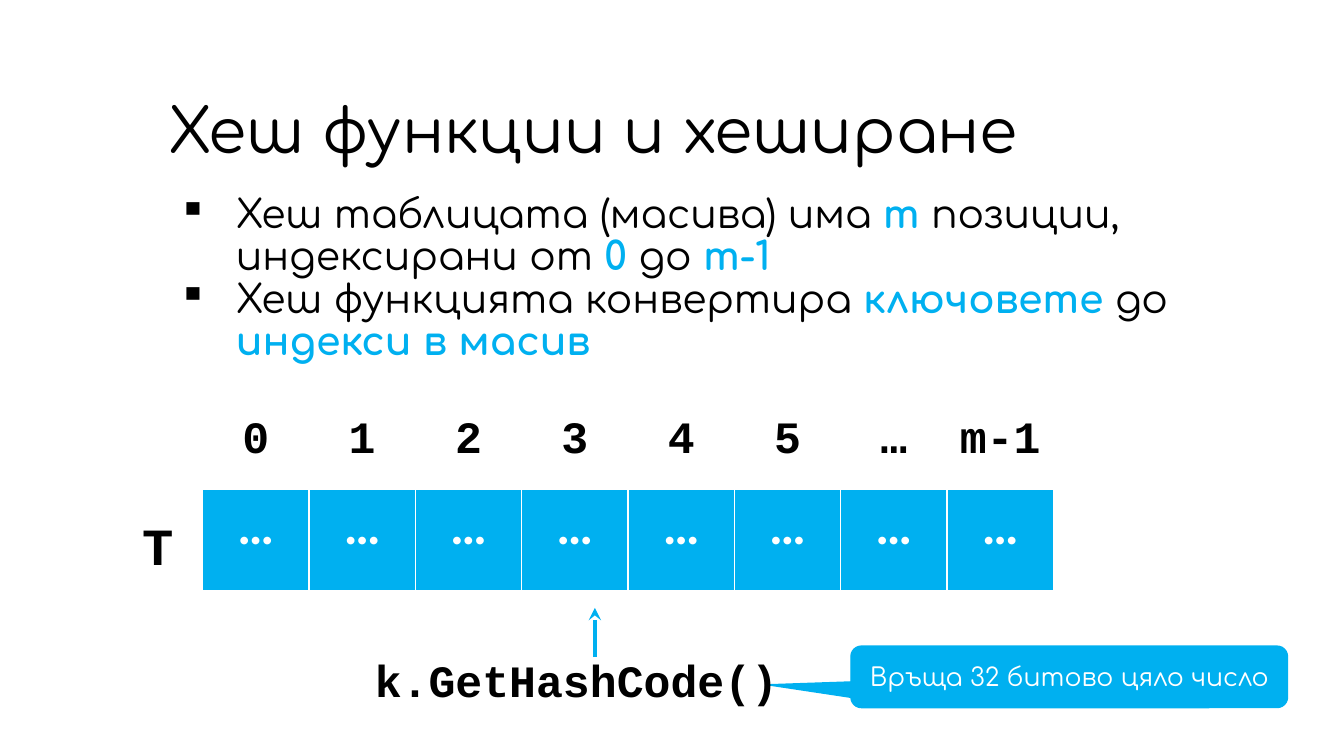
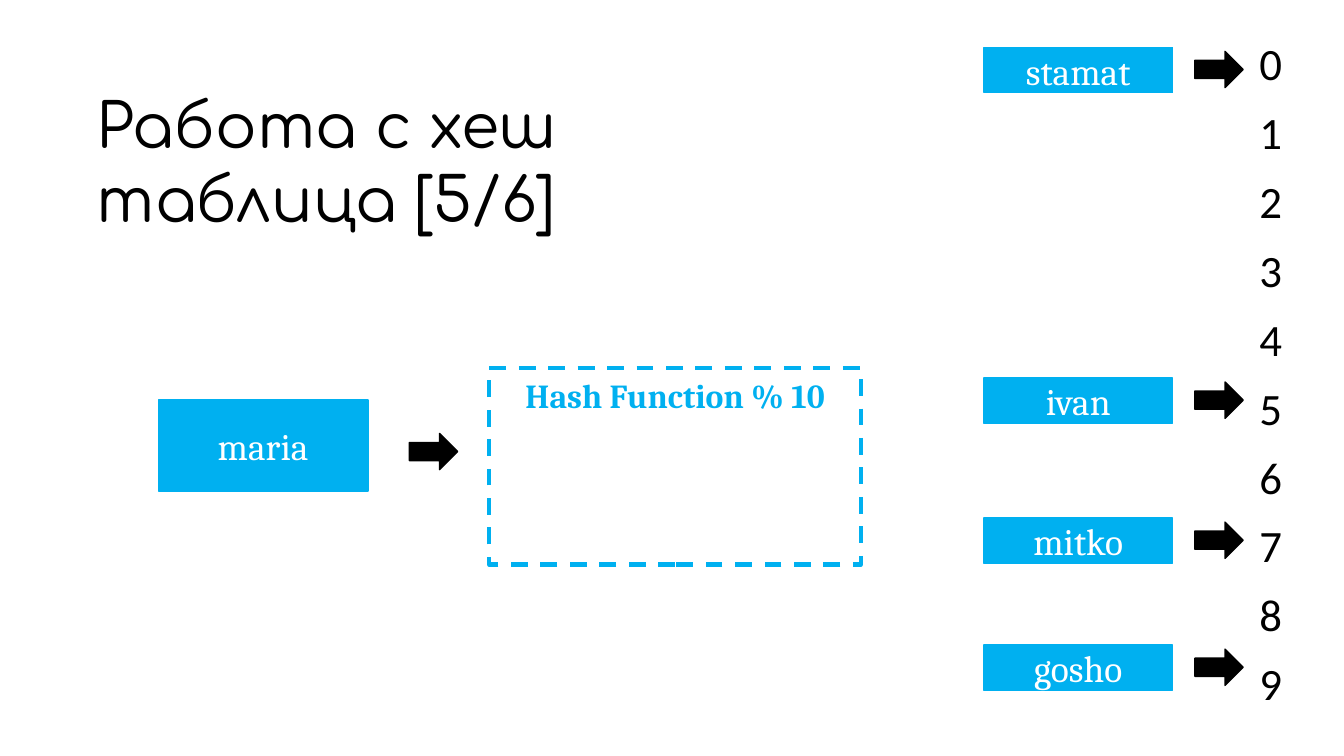
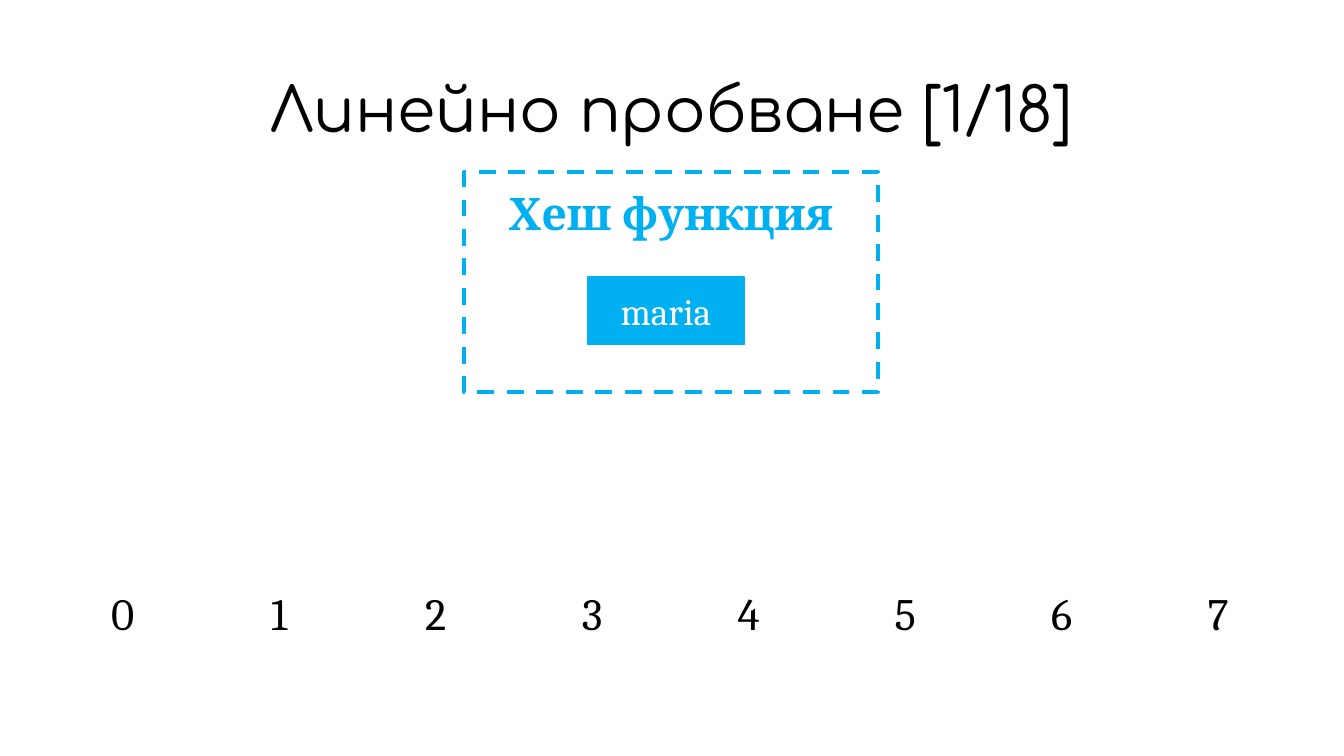
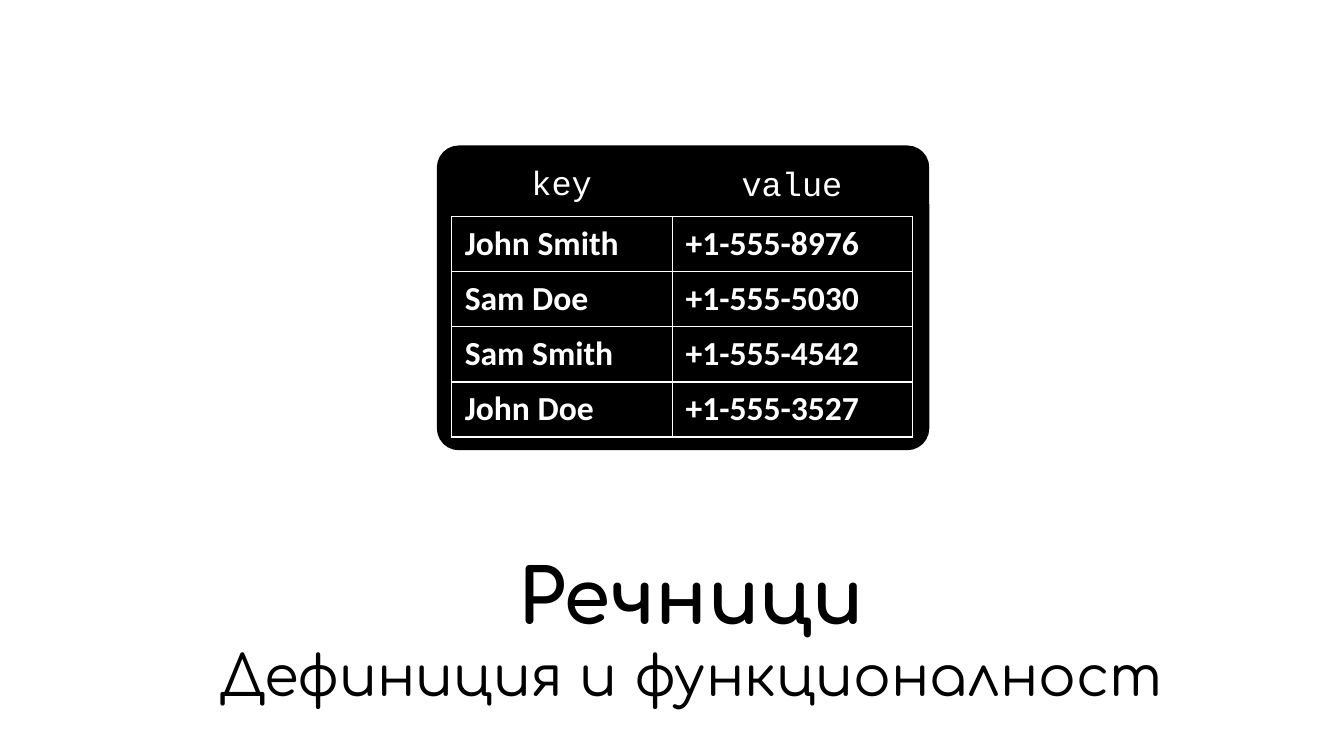
from lxml import etree
from pptx import Presentation, table
from pptx.dml.color import RGBColor
from pptx.enum import dml, shapes, text
from pptx.oxml import ns
from pptx.util import Inches, Pt

BLUE = RGBColor(0x00, 0xB0, 0xF0)
BLACK = RGBColor(0x00, 0x00, 0x00)
WHITE = RGBColor(0xFF, 0xFF, 0xFF)
HEADING, SERIF, SANS, MONO = "Comfortaa", "Cambria", "Calibri", "Courier New"
LEFT, CENTER = text.PP_ALIGN.LEFT, text.PP_ALIGN.CENTER
TOP, MIDDLE, BOTTOM = text.MSO_ANCHOR.TOP, text.MSO_ANCHOR.MIDDLE, text.MSO_ANCHOR.BOTTOM
KIND = shapes.MSO_SHAPE
PLAIN_TABLE = "{2D5ABB26-0587-4C30-8999-92F81FD0307C}"


def write(holder, content, size, font, color, bold=False, align=CENTER,
          anchor=TOP, insets=(0.13, 0.07), spacing=1.0):
    """Set and format the text of a shape or a table cell."""
    frame = holder.text_frame
    frame.text = content
    if isinstance(holder, table._Cell):
        box = holder
    else:
        box = frame
        frame.word_wrap = True
        frame.auto_size = text.MSO_AUTO_SIZE.NONE
    box.vertical_anchor = anchor
    box.margin_left = box.margin_right = Inches(insets[0])
    box.margin_top = box.margin_bottom = Inches(insets[1])
    for paragraph in frame.paragraphs:
        paragraph.alignment = align
        paragraph.line_spacing = spacing
        for run in paragraph.runs:
            run.font.size = Pt(size)
            run.font.name = font
            run.font.bold = bold
            run.font.color.rgb = color


def add_block(slide, kind, at, fill, line=None, width=1):
    block = slide.shapes.add_shape(kind, *map(Inches, at))
    block.shadow.inherit = False
    if fill is None:
        block.fill.background()
    else:
        block.fill.solid()
        block.fill.fore_color.rgb = fill
    block.line.color.rgb = line or fill
    block.line.width = Pt(width)
    return block


prs = Presentation()
prs.slide_width, prs.slide_height = Inches(13.33), Inches(7.5)

# Titles
section = {"size": 54, "bold": True, "anchor": BOTTOM, "insets": (0.05, 0.05), "spacing": 0.9}
titles = [
    ("Хеш функции и хеширане", (1.55, 0.86, 10.54, 0.84), {"align": LEFT}),
    ("Работа с хеш таблица [5/6]", (0.84, 0.65, 7.21, 1.89), {"align": LEFT}),
    ("Линейно пробване [1/18]", (0.45, 0.65, 12.42, 0.84), {}),
    ("Речници", (0.84, 5.21, 12.03, 1.2), section),
]
for heading, at, options in titles:
    title = prs.slides.add_slide(prs.slide_layouts[5]).shapes.title
    title.left, title.top, title.width, title.height = map(Inches, at)
    style = {"size": 44, "anchor": MIDDLE, "insets": (0.12, 0.04)} | options
    write(title, heading, font=HEADING, color=BLACK, **style)
hashing, working, probing, dictionaries = prs.slides

# Plain labels
labels = [
    (hashing, "T", (1.28, 5.02, 0.56, 0.76), 37.3, MONO, BLACK, {"bold": True}),
    (hashing, "k.GetHashCode()", (3.22, 6.41, 5, 0.76), 32, MONO, BLACK, {"bold": True}),
    (dictionaries, "Дефиниция и функционалност", (0.84, 6.27, 12.03, 1.05), 40, HEADING, BLACK,
     {"insets": (0.05, 0.05), "spacing": 1.05}),
]

# Slide 1: bullets, where * marks the start and end of a highlight
bullets = [
    "Хеш таблицата (масива) има *m* позиции, индексирани от *0* до *m-1*",
    "Хеш функцията конвертира *ключовете* до *индекси в масив*",
]
body = hashing.shapes.add_textbox(*map(Inches, (1.55, 1.89, 10.92, 2.56))).text_frame
body.word_wrap = True
body.margin_left = body.margin_right = Inches(0.12)
body.margin_top = body.margin_bottom = Inches(0.04)
for number, bullet in enumerate(bullets):
    paragraph = body.add_paragraph() if number else body.paragraphs[0]
    properties = paragraph._p.get_or_add_pPr()
    properties.set("marL", str(Inches(0.67)))
    properties.set("indent", str(Inches(-0.57)))
    bullet_color = etree.SubElement(properties, ns.qn("a:buClr"))
    etree.SubElement(bullet_color, ns.qn("a:srgbClr"), val=str(BLACK))
    etree.SubElement(properties, ns.qn("a:buChar"), char="▪")
    paragraph.line_spacing = 0.9
    for part, words in enumerate(bullet.split("*")):
        if words:
            run = paragraph.add_run()
            run.text = words
            run.font.size = Pt(28)
            run.font.name = HEADING
            run.font.bold = part % 2 == 1
            run.font.color.rgb = BLUE if part % 2 else BLACK

# Slide 1: pointer from the hash code to its position, and the callout
pointer = hashing.shapes.add_connector(
    shapes.MSO_CONNECTOR.STRAIGHT, *map(Inches, (5.9, 6.52, 5.9, 6.03)))
pointer.line.color.rgb = BLUE
pointer.line.width = Pt(3)
etree.SubElement(pointer.line._get_or_add_ln(), ns.qn("a:tailEnd"), type="stealth")
etree.SubElement(pointer._element.spPr, ns.qn("a:effectLst"))

callout = add_block(hashing, KIND.ROUNDED_RECTANGULAR_CALLOUT, (8.44, 6.41, 4.33, 0.61), BLUE)
for index, value in enumerate((-0.69, 0.13, 0.17)):
    callout.adjustments[index] = value
write(callout, "Връща 32 битово цяло число", 18, HEADING, WHITE, anchor=MIDDLE)

# Slides 2 and 3: hash functions, keys and arrows
functions = [
    (working, "Hash Function % 10", (4.85, 3.65, 3.69, 1.95), 24, (0.13, 0.07)),
    (probing, "Хеш функция", (4.6, 1.71, 4.11, 2.18), 32, (0.26, 0.13)),
]
for slide, name, at, size, insets in functions:
    function = add_block(slide, KIND.RECTANGLE, at, None, BLUE, 3)
    function.line.dash_style = dml.MSO_LINE.DASH
    write(function, name, size, SERIF, BLUE, bold=True, insets=insets)

stored = {"stamat": 0.47, "ivan": 3.75, "mitko": 5.14, "gosho": 6.4}
keys = [(working, name, (9.76, top, 1.87, 0.45)) for name, top in stored.items()]
keys += [(working, "maria", (1.57, 3.97, 2.08, 0.9)), (probing, "maria", (5.83, 2.75, 1.55, 0.67))]
for slide, name, at in keys:
    key = add_block(slide, KIND.FLOWCHART_PROCESS, at, BLUE)
    write(key, name, 26.7, SERIF, WHITE, anchor=MIDDLE)

arrows = [(4.06, 4.3)] + [(11.85, top + 0.04) for top in stored.values()]
for left, top in arrows:
    add_block(working, KIND.RIGHT_ARROW, (left, top, 0.48, 0.36), BLACK)

# Slide 4: phone book card
card = add_block(dictionaries, KIND.ROUNDED_RECTANGLE, (4.34, 1.45, 4.87, 3.01), BLACK)
card.adjustments[0] = 0.07
labels += [
    (dictionaries, "key", (4.48, 1.54, 2.18, 0.56), 24, MONO, WHITE, {}),
    (dictionaries, "value", (6.67, 1.55, 2.37, 0.56), 24, MONO, WHITE, {}),
]
for slide, words, at, size, font, color, options in labels:
    write(slide.shapes.add_textbox(*map(Inches, at)), words, size, font, color, **options)

# Tables: slide, rows, left, top, column widths, row height, fill, border, text style
phone_book = [("John Smith", "+1-555-8976"), ("Sam Doe", "+1-555-5030"),
              ("Sam Smith", "+1-555-4542"), ("John Doe", "+1-555-3527")]
slots = [8.44 / 8] * 8
tables = [
    (hashing, ["…" * 1 for _ in slots], 2.01, 4.86, slots, 1, BLUE, WHITE,
     dict(size=37, font=SANS, color=WHITE, bold=True, insets=(0.18, 0.07), spacing=0.95)),
    (hashing, [*"012345…", "m-1"], 2.01, 4.08, slots, 0.61, None, None,
     dict(size=32, font=MONO, color=BLACK, bold=True, insets=(0.07, 0.05), spacing=0.95)),
    (working, list("0123456789"), 12.36, 0.31, [0.56], 0.67, None, None,
     dict(size=32, font=SANS, color=BLACK, align=LEFT)),
    (probing, [*"01234567"] + [""] * 8, 0.44, 5.78, [12.42 / 8] * 8, 0.67, None, WHITE,
     dict(size=32, font=SERIF, color=BLACK, anchor=MIDDLE)),
    (dictionaries, [entry for row in phone_book for entry in row], 4.48, 2.15, [2.19, 2.38],
     2.14 / 4, None, WHITE,
     dict(size=24, font=SANS, color=WHITE, bold=True, align=LEFT, anchor=MIDDLE)),
]
for slide, entries, left, top, widths, height, fill, border, style in tables:
    row_count = len(entries) // len(widths)
    grid = slide.shapes.add_table(row_count, len(widths), Inches(left), Inches(top),
                                  Inches(sum(widths)), Inches(height * row_count)).table
    grid.first_row = grid.horz_banding = False
    grid._tbl.tblPr.find(ns.qn("a:tableStyleId")).text = PLAIN_TABLE
    for column, width in zip(grid.columns, widths):
        column.width = Inches(width)
    for row in grid.rows:
        row.height = Inches(height)
    for cell, entry in zip(grid.iter_cells(), entries):
        write(cell, entry, **style)
        if fill is None:
            cell.fill.background()
        else:
            cell.fill.solid()
            cell.fill.fore_color.rgb = fill
        if border is not None:
            for index, side in enumerate(("lnL", "lnR", "lnT", "lnB")):
                edge = etree.Element(ns.qn("a:" + side), w=str(Pt(1)))
                paint = etree.SubElement(edge, ns.qn("a:solidFill"))
                etree.SubElement(paint, ns.qn("a:srgbClr"), val=str(border))
                cell._tc.get_or_add_tcPr().insert(index, edge)

prs.save("out.pptx")
